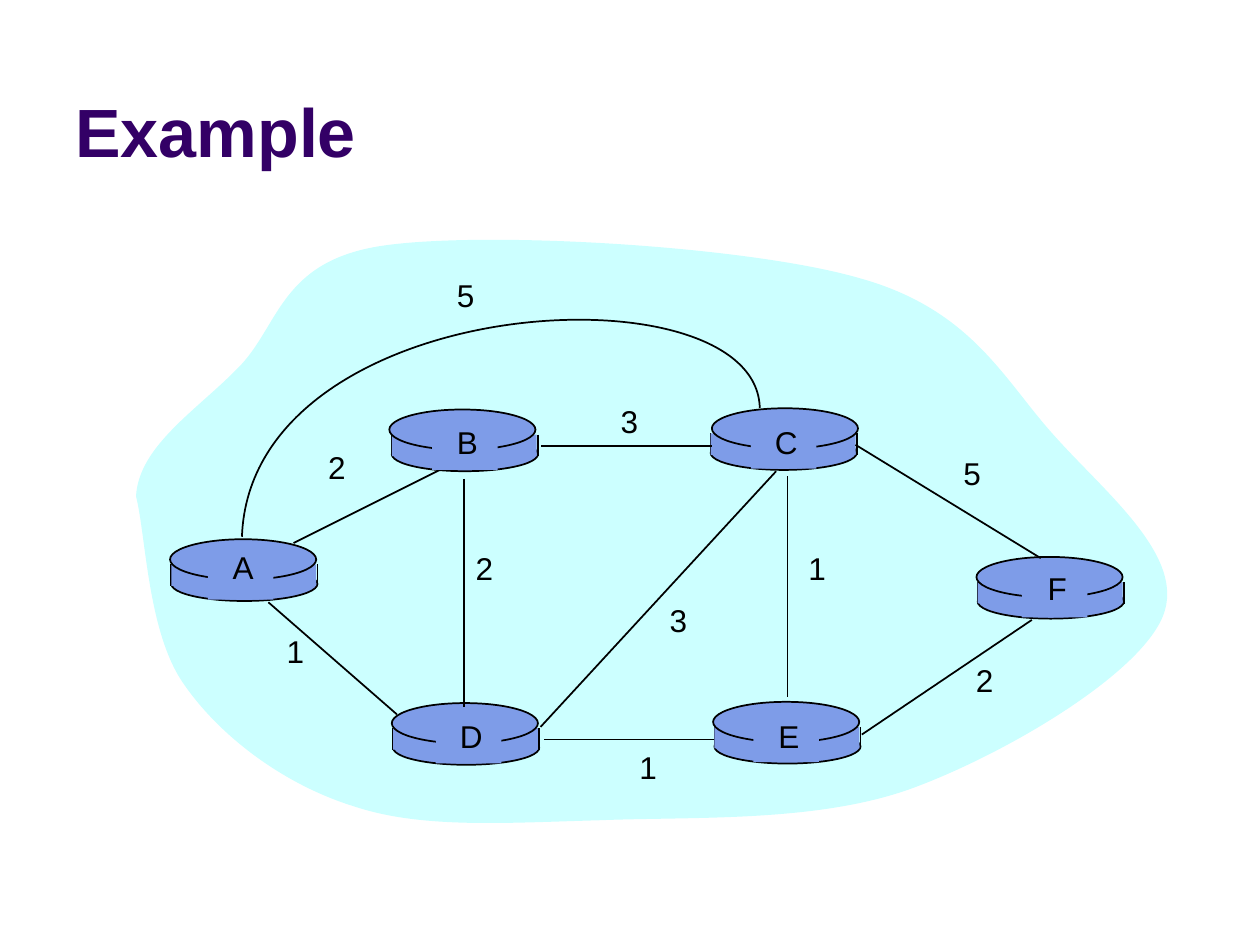
"""Build a slide showing a weighted network of six routers."""
from collections import namedtuple

import pptx
import pptx.dml.color
import pptx.enum.shapes
import pptx.enum.text
import pptx.oxml
import pptx.oxml.ns
import pptx.util

Inches = pptx.util.Inches
Pt = pptx.util.Pt
SHAPE = pptx.enum.shapes.MSO_SHAPE
ALIGN = pptx.enum.text.PP_ALIGN
ANCHOR = pptx.enum.text.MSO_ANCHOR
FIT = pptx.enum.text.MSO_AUTO_SIZE

PURPLE = pptx.dml.color.RGBColor(0x33, 0x00, 0x66)
CYAN = pptx.dml.color.RGBColor(0xCC, 0xFF, 0xFF)
BLUE = pptx.dml.color.RGBColor(0x7E, 0x9C, 0xE8)
BLACK = pptx.dml.color.RGBColor(0x00, 0x00, 0x00)

FONT = "Arial"
ROUTER_WIDTH = 1.16

Router = namedtuple("Router", "name left top disc_left patch_left label_top")
ROUTERS = [
    Router("A", 1.36, 4.48, 1.35, 1.65, 4.30),
    Router("D", 3.12, 5.78, 3.11, 3.46, 5.64),
    Router("B", 3.11, 3.45, 3.09, 3.43, 3.31),
    Router("C", 5.64, 3.44, 5.65, 5.96, 3.31),
    Router("E", 5.67, 5.77, 5.66, 5.98, 5.64),
    Router("F", 7.76, 4.62, 7.75, 8.11, 4.47),
]

LINK_A_B = ((2.33, 4.31), (3.59, 3.68))
LINKS = [
    ((6.25, 3.78), (6.25, 5.53)),
    ((3.68, 3.80), (3.68, 5.61)),
    ((4.29, 5.77), (6.16, 3.74)),
    ((6.84, 5.83), (8.19, 4.92)),
    ((5.67, 5.87), (4.32, 5.87)),
    ((3.15, 5.67), (2.13, 4.78)),
    ((5.65, 3.54), (4.29, 3.54)),
    ((8.26, 4.43), (6.79, 3.53)),
]
COSTS = [
    ("2", 2.41, 3.51), ("2", 3.58, 4.31), ("1", 2.08, 4.97),
    ("3", 5.12, 4.72), ("1", 4.88, 5.89), ("1", 6.22, 4.31),
    ("2", 7.55, 5.20), ("5", 7.45, 3.55), ("3", 4.73, 3.14),
    ("5", 3.43, 2.14),
]

CLOUD = [
    (1.08, 3.94),
    (1.10, 3.54), (1.57, 3.25), (1.89, 2.92),
    (2.22, 2.59), (2.22, 2.07), (3.04, 1.95),
    (3.86, 1.83), (5.94, 1.95), (6.83, 2.21),
    (7.72, 2.46), (7.97, 3.02), (8.37, 3.46),
    (8.77, 3.91), (9.42, 4.42), (9.23, 4.89),
    (9.04, 5.36), (7.97, 5.99), (7.23, 6.26),
    (6.48, 6.53), (5.50, 6.48), (4.76, 6.51),
    (4.02, 6.53), (3.35, 6.58), (2.81, 6.40),
    (2.26, 6.23), (1.75, 5.85), (1.46, 5.43),
    (1.17, 5.02), (1.16, 4.25), (1.08, 3.94),
]
ARC_A_C = [(6.03, 3.24), (6.01, 2.09), (1.99, 2.30), (1.92, 4.26)]


def paint(shape, fill=None, outlined=False):
    """Set the fill and outline of a shape and drop its shadow."""
    shape.shadow.inherit = False
    if fill is None:
        shape.fill.background()
    else:
        shape.fill.solid()
        shape.fill.fore_color.rgb = fill
    if outlined:
        shape.line.color.rgb = BLACK
        shape.line.width = Pt(1)
    else:
        shape.line.fill.background()


def add_curve(slide, controls, close):
    """Add a freeform whose control points form cubic Bezier segments."""
    points = [(Inches(x), Inches(y)) for x, y in controls]
    builder = slide.shapes.build_freeform(*points[0])
    builder.add_line_segments(points[1:], close=close)
    curve = builder.convert_to_shape()
    steps = curve._element.xpath(".//a:lnTo")
    for first in range(0, len(steps), 3):
        bezier = pptx.oxml.parse_xml(
            "<a:cubicBezTo %s/>" % pptx.oxml.ns.nsdecls("a"))
        steps[first].addprevious(bezier)
        for step in steps[first:first + 3]:
            bezier.append(step[0])
            step.getparent().remove(step)
    return curve


def add_link(slide, start, end):
    """Add a thin black straight line."""
    link = slide.shapes.add_connector(
        pptx.enum.shapes.MSO_CONNECTOR.STRAIGHT,
        *(Inches(value) for value in start + end))
    link.line.color.rgb = BLACK
    link.line.width = Pt(1)
    link._element.spPr.append(pptx.oxml.parse_xml(
        "<a:effectLst %s/>" % pptx.oxml.ns.nsdecls("a")))


def add_block(slide, preset, left, top, width, height, outlined=False):
    """Add a blue router part."""
    block = slide.shapes.add_shape(
        preset, Inches(left), Inches(top), Inches(width), Inches(height))
    paint(block, BLUE, outlined)


def add_text(slide, text, box, size, color):
    """Add a text box with a single run and return its frame and run."""
    frame = slide.shapes.add_textbox(*(Inches(v) for v in box)).text_frame
    run = frame.paragraphs[0].add_run()
    run.text = text
    run.font.name = FONT
    run.font.size = Pt(size)
    run.font.color.rgb = color
    return frame, run


def add_title(slide, text):
    """Add the bold slide title."""
    frame, run = add_text(slide, text, (0.5, 0.13, 9, 1.28), 39, PURPLE)
    frame.word_wrap = True
    frame.vertical_anchor = ANCHOR.BOTTOM
    run.font.bold = True


def add_label(slide, text, left, top, width=0.53):
    """Add a centred router name or link cost."""
    frame, _ = add_text(slide, text, (left, top, width, 0.61), 18, BLACK)
    frame.word_wrap = False
    frame.auto_size = FIT.SHAPE_TO_FIT_TEXT
    frame.paragraphs[0].alignment = ALIGN.CENTER


def add_router(slide, router):
    """Add a router drawn as a flat cylinder."""
    left, top = router.left, router.top
    add_block(slide, SHAPE.OVAL, left, top + 0.02, ROUTER_WIDTH, 0.27, True)
    for side in (left, left + ROUTER_WIDTH):
        add_link(slide, (side, top), (side, top + 0.17))
    add_block(slide, SHAPE.RECTANGLE, left, top, ROUTER_WIDTH - 0.01, 0.17)
    add_block(slide, SHAPE.OVAL, router.disc_left, top - 0.2,
              ROUTER_WIDTH, 0.32, True)


def add_router_name(slide, router):
    """Add a router name on a blue patch."""
    add_block(slide, SHAPE.RECTANGLE, router.patch_left, router.top - 0.16,
              0.52, 0.44)
    add_label(slide, router.name, router.patch_left - 0.01,
              router.label_top, 0.58)


def main():
    """Build and save the slide."""
    deck = pptx.Presentation()
    deck.slide_width, deck.slide_height = Inches(10), Inches(7.5)
    slide = deck.slides.add_slide(deck.slide_layouts[6])

    add_title(slide, "Example")
    paint(add_curve(slide, CLOUD, close=True), CYAN)
    add_link(slide, *LINK_A_B)
    for router in ROUTERS:
        add_router(slide, router)
    for start, end in LINKS:
        add_link(slide, start, end)
    paint(add_curve(slide, ARC_A_C, close=False), outlined=True)
    for router in ROUTERS:
        add_router_name(slide, router)
    for cost, left, top in COSTS:
        add_label(slide, cost, left, top)

    deck.save("out.pptx")


if __name__ == "__main__":
    main()
